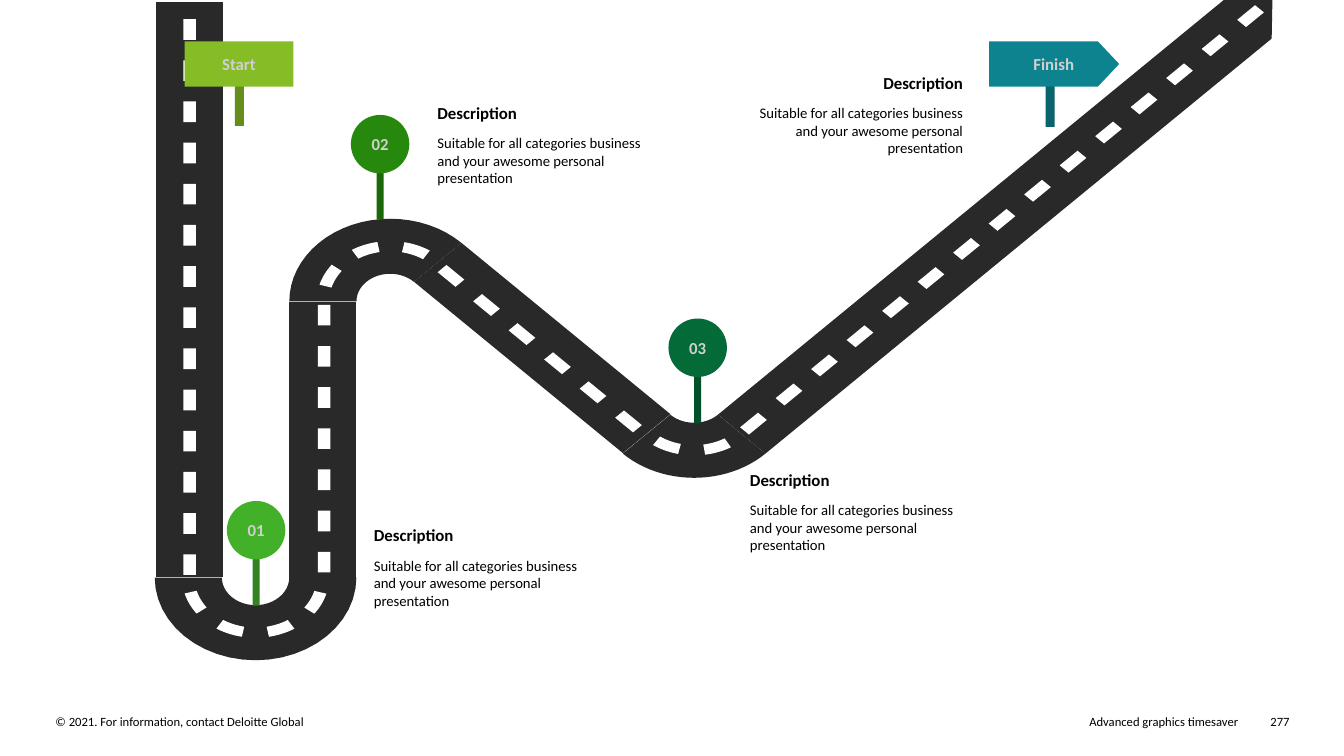
"""Road map slide: a winding road with signs, numbered pins and descriptions."""
from math import cos, radians, sin

from pptx import Presentation
from pptx.dml.color import RGBColor
from pptx.enum.shapes import MSO_SHAPE
from pptx.enum.text import MSO_ANCHOR, MSO_AUTO_SIZE, PP_ALIGN
from pptx.util import Inches, Pt

RECT, OVAL, ARROW_SIGN = MSO_SHAPE.RECTANGLE, MSO_SHAPE.OVAL, MSO_SHAPE.PENTAGON
LEFT, CENTER, RIGHT = PP_ALIGN.LEFT, PP_ALIGN.CENTER, PP_ALIGN.RIGHT
TOP, MIDDLE = MSO_ANCHOR.TOP, MSO_ANCHOR.MIDDLE
GROW = MSO_AUTO_SIZE.SHAPE_TO_FIT_TEXT

COLS, ROWS = 1333, 750
CELL = Inches(13.33) / COLS
FONT = "Calibri"

SQUASH = 0.82
BEND = 66.7
ROAD_HALF, MARK_HALF = 33.3, 6.2
MARK, PITCH, MARK_ANGLE, PITCH_ANGLE = 25, 49.8, 21.4, 42.6
ARC_STEPS = 24

BLACK = RGBColor(0x00, 0x00, 0x00)
WHITE = RGBColor(0xFF, 0xFF, 0xFF)
ASPHALT = RGBColor(0x29, 0x29, 0x29)
LABEL = RGBColor(0xD0, 0xD0, 0xCE)
LIME, LIME_DARK = RGBColor(0x86, 0xBC, 0x25), RGBColor(0x65, 0x8D, 0x1C)
TEAL, TEAL_DARK = RGBColor(0x0D, 0x83, 0x90), RGBColor(0x0A, 0x62, 0x6C)
LEAF, LEAF_DARK = RGBColor(0x43, 0xB0, 0x2A), RGBColor(0x32, 0x84, 0x20)
GREEN, GREEN_DARK = RGBColor(0x26, 0x89, 0x0D), RGBColor(0x1C, 0x67, 0x0A)
PINE, PINE_DARK = RGBColor(0x04, 0x6A, 0x38), RGBColor(0x03, 0x50, 0x2A)

BODY = "Suitable for all categories business and your awesome personal presentation"
U_TURN, HILL, VALLEY = (253.5, 573), (387, 299), (688.5, 392)


def cells(*values):
    """Turn grid cells into slide lengths."""
    return [round(v * CELL) for v in values]


def move(start, angle, distance):
    """Return the point reached from a start on the squashed plane."""
    a = radians(angle)
    return start[0] + distance * cos(a), start[1] + SQUASH * distance * sin(a)


def strip(start, heading, length, half):
    """Return the outline of a straight band."""
    end = move(start, heading, length)
    left, right = heading - 90, heading + 90
    return [move(start, left, half), move(end, left, half),
            move(end, right, half), move(start, right, half)]


def arc(center, first, last, half):
    """Return the outline of a curved band."""
    angles = [first + (last - first) * i / ARC_STEPS for i in range(ARC_STEPS + 1)]
    outer = [move(center, a, BEND + half) for a in angles]
    inner = [move(center, a, BEND - half) for a in reversed(angles)]
    return outer + inner


def straight_marks(start, heading, count):
    """Return equally spaced lane marks on a straight."""
    return [strip(move(start, heading, i * PITCH), heading, MARK, MARK_HALF)
            for i in range(count)]


def bend_marks(center, first, count):
    """Return equally spaced lane marks on a bend."""
    starts = [first + i * PITCH_ANGLE for i in range(count)]
    return [arc(center, a, a + MARK_ANGLE, MARK_HALF) for a in starts]


def paint(sp, color):
    """Give a shape a flat fill without line or shadow."""
    sp.shadow.inherit = False
    sp.fill.solid()
    sp.fill.fore_color.rgb = color
    sp.line.fill.background()


def add_outlines(s, outlines, color):
    """Draw closed outlines as one freeform."""
    first, *others = [[cells(*pt) for pt in outline] for outline in outlines]
    builder = s.shapes.build_freeform(*first[0], scale=1.0)
    builder.add_line_segments(first[1:], close=True)
    for points in others:
        builder.move_to(*points[0])
        builder.add_line_segments(points[1:], close=True)
    paint(builder.convert_to_shape(), color)


def add_road(s):
    """Draw the road surface and its lane marks."""
    climb = strip(move(VALLEY, 45, BEND), -45, 710, ROAD_HALF)
    climb.insert(2, (1262, 0))
    surface = [
        strip((188, 2), 90, 696, ROAD_HALF),
        arc(U_TURN, 0, 180, ROAD_HALF),
        strip((320, 573), -90, 334, ROAD_HALF),
        arc(HILL, 180, 315, ROAD_HALF),
        strip(move(HILL, -45, BEND), 45, 293, ROAD_HALF),
        arc(VALLEY, 45, 135, ROAD_HALF),
        climb,
    ]
    marks = [
        straight_marks((188, 19), 90, 14),
        bend_marks(U_TURN, 15.5, 4),
        straight_marks((321.5, 568), -90, 7),
        bend_marks(HILL, 196, 3),
        straight_marks((438.5, 266.5), 45, 6),
        bend_marks(VALLEY, 60, 2),
        straight_marks((738.5, 427.5), -45, 15),
    ]
    for outline in surface:
        add_outlines(s, [outline], ASPHALT)
    for outlines in marks:
        add_outlines(s, outlines, WHITE)


def add_preset(s, kind, at, color):
    """Draw a preset shape on the grid."""
    sp = s.shapes.add_shape(kind, *cells(*at))
    paint(sp, color)
    return sp


def write(sp, text, size=12, color=BLACK, bold=False, align=LEFT, anchor=TOP,
          insets=(0, 0, 0, 0), wrap=True):
    """Write one formatted paragraph into a shape."""
    tf = sp.text_frame
    tf.word_wrap = wrap
    tf.vertical_anchor = anchor
    (tf.margin_left, tf.margin_top,
     tf.margin_right, tf.margin_bottom) = cells(*insets)
    p = tf.paragraphs[0]
    p.alignment = align
    r = p.add_run()
    r.text = text
    r.font.name, r.font.size, r.font.bold = FONT, Pt(size), bold
    r.font.color.rgb = color


def add_text(s, text, at, **style):
    """Add a text box that grows with its text."""
    sp = s.shapes.add_textbox(*cells(*at))
    write(sp, text, **style)
    sp.text_frame.auto_size = GROW


def add_marker(s, kind, at, color, post, post_color, text, insets=(0, 0, 0, 0)):
    """Add a labelled sign or pin on its post."""
    add_preset(s, RECT, post, post_color)
    sp = add_preset(s, kind, at, color)
    write(sp, text, color=LABEL, bold=True, align=CENTER, anchor=MIDDLE,
          insets=insets, wrap=False)
    return sp


def add_pin(s, x, y, color, post_color, text):
    """Add a round numbered pin."""
    add_marker(s, OVAL, (x, y, 58, 58), color, (x + 25.5, y + 54, 7, 50),
               post_color, text)


def add_description(s, x, y, align=LEFT):
    """Add a heading and its text, aligned on one edge."""
    heading_x = x + 114 if align == RIGHT else x
    insets = (10, 5, 10, 5)
    add_text(s, "Description", (heading_x, y, 120, 36), bold=True, align=align,
             insets=insets)
    add_text(s, BODY, (x, y + 31, 234, 75), size=10.5, align=align, insets=insets)


def main():
    """Build the slide and save it."""
    prs = Presentation()
    prs.slide_width, prs.slide_height = cells(COLS, ROWS)
    s = prs.slides.add_slide(prs.slide_layouts[6])
    add_road(s)
    sign = add_marker(s, ARROW_SIGN, (981, 41, 129, 45), TEAL, (1037, 66, 9, 60),
                      TEAL_DARK, "Finish", insets=(10, 0, 0, 0))
    sign.adjustments[0] = 0.47
    add_marker(s, RECT, (183, 41, 108, 45), LIME, (233, 84, 9, 41), LIME_DARK, "Start")
    add_pin(s, 225, 497, LEAF, LEAF_DARK, "01")
    add_pin(s, 348, 114, GREEN, GREEN_DARK, "02")
    add_pin(s, 663, 316, PINE, PINE_DARK, "03")
    add_description(s, 361, 516)
    add_description(s, 424, 97)
    add_description(s, 734, 461)
    add_description(s, 731, 67, RIGHT)
    for text, x, w, align in (
            ("© 2021. For information, contact Deloitte Global", 55, 586, LEFT),
            ("Advanced graphics timesaver", 693, 535, RIGHT), ("277", 1245, 34, RIGHT)):
        add_text(s, text, (x, 708, w, 15), size=9, align=align)
    prs.save("out.pptx")


if __name__ == "__main__":
    main()
